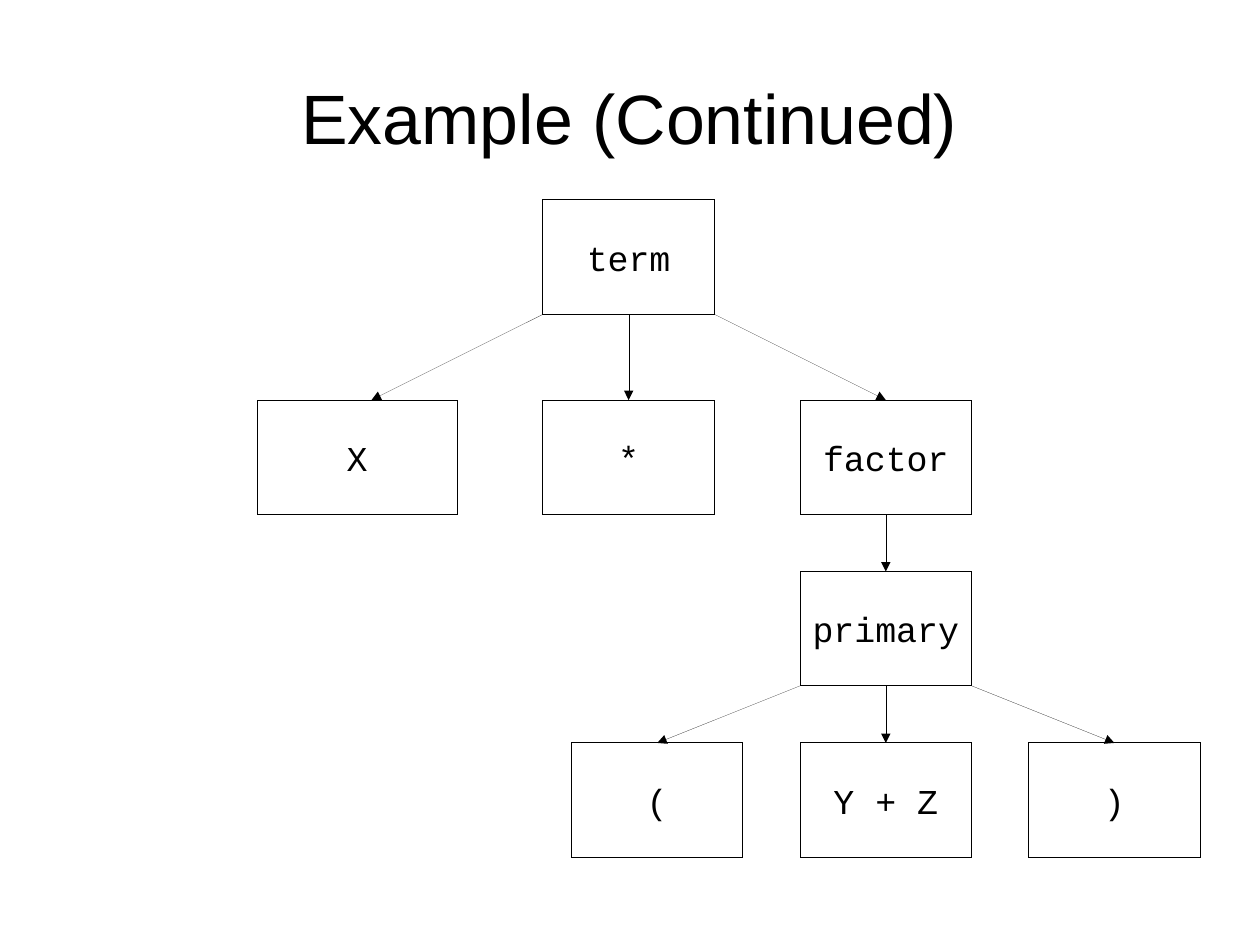
"""Build the parse tree slide for the term X * (Y + Z)."""
import pptx
import pptx.dml.color
import pptx.enum.shapes
import pptx.enum.text
import pptx.oxml.ns
import pptx.util
from lxml import etree

Pt = pptx.util.Pt
MIDDLE = pptx.enum.text.MSO_ANCHOR.MIDDLE
CENTER = pptx.enum.text.PP_ALIGN.CENTER

HEADING = "Example (Continued)"
NODE_WIDTH, NODE_HEIGHT = 108, 72
NODES = {
    "term": (342, 126, NODE_WIDTH),
    "X": (162, 252, 126),
    "*": (342, 252, NODE_WIDTH),
    "factor": (504, 252, NODE_WIDTH),
    "primary": (504, 360, NODE_WIDTH),
    "(": (360, 468, NODE_WIDTH),
    "Y + Z": (504, 468, NODE_WIDTH),
    ")": (648, 468, NODE_WIDTH),
}
BRANCHES = [
    ("term", 162, ["X", "*", "factor"]),
    ("factor", 0, ["primary"]),
    ("primary", 144, ["(", "Y + Z", ")"]),
]
BLACK, WHITE = "000000", "FFFFFF"
HEADING_FONT = {"name": "Arial", "size": Pt(44)}
NODE_FONT = {"name": "Courier New", "size": Pt(22)}


def color(hex_value):
    return pptx.dml.color.RGBColor.from_string(hex_value)


def assign(target, values):
    for name, value in values.items():
        setattr(target, name, value)


def write(holder, wording, font, **frame_format):
    frame = holder.text_frame
    assign(frame, {"vertical_anchor": MIDDLE, "word_wrap": True, **frame_format})
    paragraph = frame.paragraphs[0]
    paragraph.alignment = CENTER
    run = paragraph.add_run()
    run.text = wording
    assign(run.font, font)
    run.font.color.rgb = color(BLACK)


def draw_hairline(shape):
    shape.line.color.rgb = color(BLACK)
    hairline = shape.line._get_or_add_ln()
    hairline.set("w", "0")
    return hairline


def add_node(slide, label, left, top, width):
    node = slide.shapes.add_shape(
        pptx.enum.shapes.MSO_SHAPE.RECTANGLE,
        Pt(left), Pt(top), Pt(width), Pt(NODE_HEIGHT))
    node.shadow.inherit = False
    node.fill.solid()
    node.fill.fore_color.rgb = color(WHITE)
    draw_hairline(node)
    write(node, label, NODE_FONT)


def add_arrow(slide, start, end):
    arrow = slide.shapes.add_connector(
        pptx.enum.shapes.MSO_CONNECTOR.STRAIGHT, *map(Pt, start + end))
    qn = pptx.oxml.ns.qn
    etree.SubElement(draw_hairline(arrow), qn("a:tailEnd"), type="triangle")
    etree.SubElement(arrow._element.spPr, qn("a:effectLst"))


def add_branch(slide, parent, spread, children):
    left, top, width = NODES[parent]
    center = left + width / 2
    for index, child in enumerate(children):
        side = index - (len(children) - 1) / 2
        start = (center + side * width / 2, top + NODE_HEIGHT)
        add_arrow(slide, start, (center + side * spread, NODES[child][1]))


def main():
    deck = pptx.Presentation()
    assign(deck, {"slide_width": Pt(793.7), "slide_height": Pt(595.28)})
    slide = deck.slides.add_slide(deck.slide_layouts.get_by_name("Title Only"))
    heading = slide.shapes.title
    assign(heading, {"left": Pt(39.6), "top": Pt(27.36),
                     "width": Pt(714.24), "height": Pt(92.16)})
    write(heading, HEADING, HEADING_FONT,
          auto_size=pptx.enum.text.MSO_AUTO_SIZE.NONE,
          margin_left=0, margin_top=0, margin_right=0, margin_bottom=0)
    for label, place in NODES.items():
        add_node(slide, label, *place)
    for branch in BRANCHES:
        add_branch(slide, *branch)
    deck.save("out.pptx")


if __name__ == "__main__":
    main()
